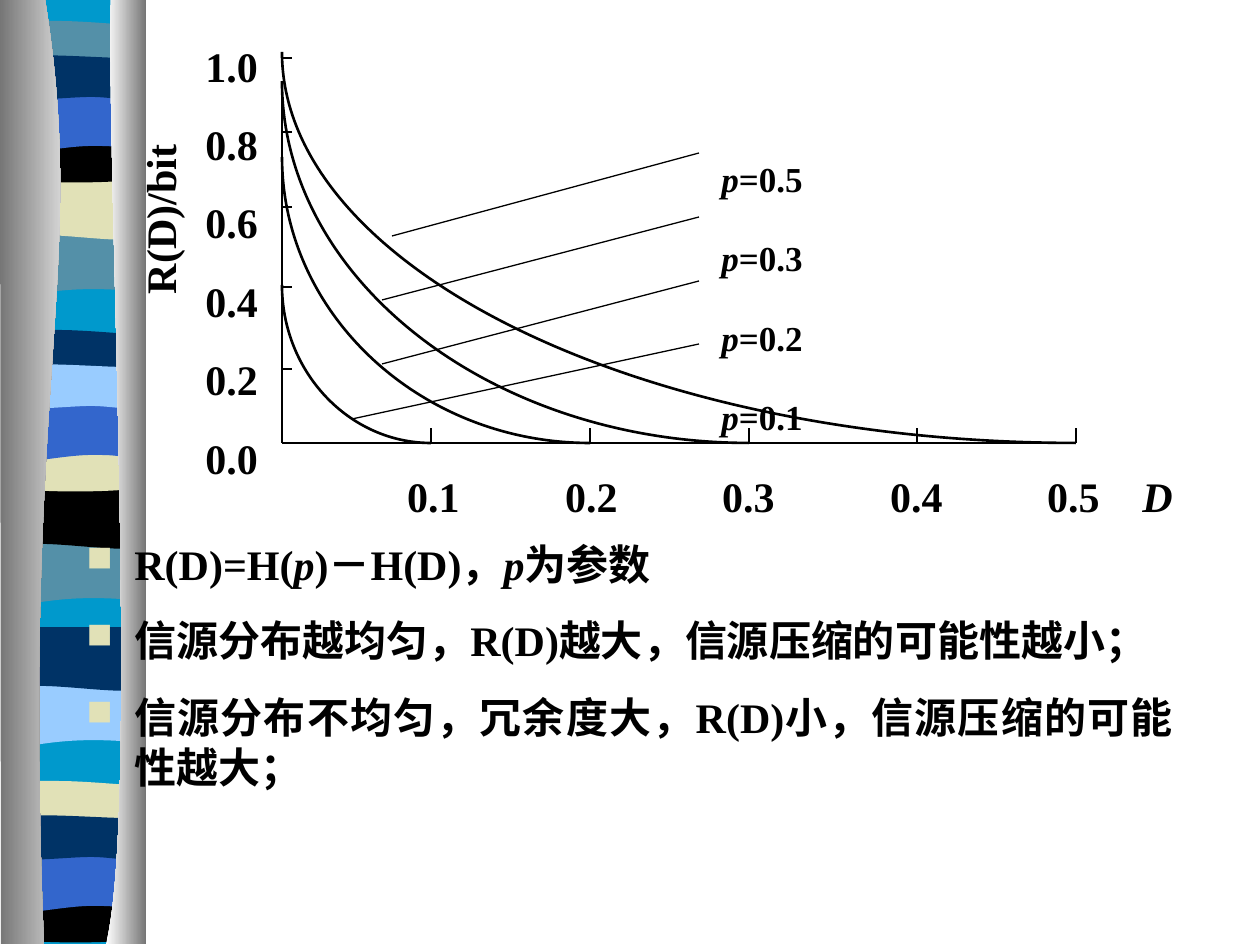
from lxml import etree
from pptx import Presentation
from pptx.dml.color import RGBColor
from pptx.enum.shapes import MSO_CONNECTOR
from pptx.enum.text import PP_ALIGN
from pptx.oxml.ns import qn
from pptx.util import Pt

STRAIGHT = MSO_CONNECTOR.STRAIGHT
JUSTIFY = PP_ALIGN.JUSTIFY
LEFT = PP_ALIGN.LEFT
PX = 914400 / 126
FONT = "Times New Roman"
BLACK = RGBColor(0x00, 0x00, 0x00)
CYAN = RGBColor(0x00, 0x99, 0xCC)
TEAL = RGBColor(0x54, 0x90, 0xA8)
CREAM = RGBColor(0xE1, 0xE1, 0xB7)
BLUE = RGBColor(0x33, 0x66, 0xCC)
NAVY = RGBColor(0x00, 0x33, 0x66)
SKY = RGBColor(0x99, 0xCC, 0xFF)
GREY = RGBColor(0x76, 0x76, 0x76)
WHITE = RGBColor(0xFF, 0xFF, 0xFF)

prs = Presentation()
prs.slide_width = round(1260 * PX)
prs.slide_height = round(945 * PX)
s = prs.slides.add_slide(prs.slide_layouts[6])


def add_outline(segments, dy=0, close=True):
    points = [(seg[i] * PX, (seg[i + 1] + dy) * PX)
              for seg in segments for i in range(0, len(seg), 2)]
    fb = s.shapes.build_freeform(*points[0], scale=1.0)
    fb.add_line_segments(points[1:], close=close)
    sp = fb.convert_to_shape()
    steps = iter(list(sp._element.iter(qn("a:lnTo"))))
    for seg in segments[1:]:
        first = next(steps)
        if len(seg) == 6:
            curve = etree.Element(qn("a:cubicBezTo"))
            first.addprevious(curve)
            for step in (first, next(steps), next(steps)):
                curve.append(step[0])
                step.getparent().remove(step)
    sp.shadow.inherit = False
    sp.line.fill.background()
    return sp


def add_text(box, paragraphs, size, before=0, spacing=1.0, align=JUSTIFY, tabs=(), bullet=False):
    tb = s.shapes.add_textbox(*[round(v * PX) for v in box])
    tf = tb.text_frame
    tf.word_wrap = True
    for i, runs in enumerate(paragraphs):
        p = tf.paragraphs[0] if i == 0 else tf.add_paragraph()
        pPr = p._p.get_or_add_pPr()
        if bullet:
            pPr.set("marL", str(round(48 * PX)))
            pPr.set("indent", str(round(-48 * PX)))
            clr = etree.SubElement(pPr, qn("a:buClr"))
            etree.SubElement(clr, qn("a:srgbClr"), val=str(CREAM))
            etree.SubElement(pPr, qn("a:buSzPct"), val="85000")
            etree.SubElement(pPr, qn("a:buChar"), char="■")
        if tabs:
            tab_list = etree.SubElement(pPr, qn("a:tabLst"))
            for x in tabs:
                etree.SubElement(tab_list, qn("a:tab"), pos=str(round(x * PX)), algn="ctr")
        p.alignment = align
        p.line_spacing = spacing
        p.space_before = Pt(before if i else 0)
        for text, italic in runs:
            r = p.add_run()
            r.text = text
            r.font.name = FONT
            r.font.size = Pt(size)
            r.font.bold = True
            r.font.italic = italic
            r.font.color.rgb = BLACK
    return tf


SLAB = [(144, 233), (144, 292), (49, 282, 30, 302, 7, 292), (7, 233)]
WAVE = [(144, 176), (144, 237), (121, 246, 49, 229, 7, 237), (7, 176)]
LENS = [(144, 26), (144, 57), (121, 62, 30, 62, 7, 57), (7, 26),
        (16, 20, 38, 21, 60, 21), (83, 21, 126, 25, 144, 26)]
BOWL = [(144, 136), (144, 178), (121, 184, 30, 184, 7, 178), (7, 136),
        (91, 142, 115, 136, 144, 136)]
ARCH = [(144, 93), (144, 154), (122, 146, 113, 146, 91, 146),
        (68, 146, 29, 154, 7, 154), (7, 93)]
FLAG = [(144, 58), (144, 97), (135, 103, 113, 97, 91, 97), (68, 97, 21, 103, 7, 97),
        (7, 58), (26, 52, 100, 58, 122, 58)]
BANDS = [SLAB, WAVE, LENS, BOWL, ARCH, FLAG]
ribbon = [
    ([0] * 6, [TEAL, CREAM, TEAL, BLACK, BLUE, NAVY]),
    ([309] * 6, [TEAL, BLACK, NAVY, CREAM, BLUE, SKY]),
    ([451] * 2 + [760] * 4, [SKY, NAVY, CREAM, BLACK, BLUE, NAVY]),
]
base = add_outline([(144, -1), (144, 944), (7, 944), (7, -1)])
base.fill.solid()
base.fill.fore_color.rgb = CYAN
for offsets, colors in ribbon:
    for band, dy, color in zip(BANDS, offsets, colors):
        sp = add_outline(band, dy)
        sp.fill.solid()
        sp.fill.fore_color.rgb = color

panels = [
    ([(45, -1), (89, 272, 21, 373, 44, 944), (1, 944), (0, -1)], GREY, WHITE),
    ([(111, -1), (106, 158, 140, 814, 106, 944), (146, 944), (146, -1)], WHITE, GREY),
]
for segments, start, end in panels:
    sp = add_outline(segments)
    sp.fill.gradient()
    sp.fill.gradient_angle = 0
    for stop, color in zip(sp.fill.gradient_stops, (start, end)):
        stop.color.rgb = color

X0, Y0 = 282, 443
lines = [(X0, Y0, 1076, Y0, 1), (X0, 81, X0, Y0, 1)]
lines += [(x, Y0, x, 428, 1) for x in (431, 590, 749, 917, 1076)]
lines += [(X0, y, 292, y, 1) for y in (58, 132, 207, 287, 369)]
lines += [(x, y, 699, end, 0.75) for x, y, end in
          ((352, 419, 344), (382, 364, 281), (382, 300, 217), (392, 236, 153))]
for x1, y1, x2, y2, width in lines:
    c = s.shapes.add_connector(STRAIGHT, *[round(v * PX) for v in (x1, y1, x2, y2)])
    c.line.color.rgb = BLACK
    c.line.width = Pt(width)
    etree.SubElement(c._element.spPr, qn("a:effectLst"))

K = 0.45
for right, top in ((431, 285), (590, 157), (749, 81), (1076, 52)):
    control_x = X0 + (right - X0) * K
    control_y = Y0 - (Y0 - top) * K
    sp = add_outline([(right, Y0), (control_x, Y0, X0, control_y, X0, top)], close=False)
    sp.fill.background()
    sp.line.color.rgb = BLACK
    sp.line.width = Pt(1.5)

y_labels = ["1.0", "0.8", "0.6", "0.4", "0.2", "0.0"]
add_text((193, 34, 89, 446), [[(t, False)] for t in y_labels], 24, before=16)

x_labels = "".join(f"\t{t}" for t in ("0.1", "0.2", "0.3", "0.4", "0.5"))
add_text((164, 464, 1042, 60), [[(x_labels + "\t", False), ("D", True)]], 24,
         align=LEFT, tabs=[257, 415, 572, 740, 897, 981])

tf = add_text((113, 127, 91, 180), [[("R(D)/bit", False)]], 24, spacing=1.3)
tf._txBody.bodyPr.set("vert", "vert270")
tf.margin_left = tf.margin_right = round(6 * PX)
tf.margin_top = tf.margin_bottom = round(13 * PX)

add_text((709, 139, 118, 297), [[("p", True), (f"={v}", False)] for v in ("0.5", "0.3", "0.2", "0.1")],
         20, before=14, spacing=1.3)

add_text((74, 532, 1111, 267), [
    [("R(D)=H(", False), ("p", True), (")－H(D)，", False), ("p", True), ("为参数", False)],
    [("信源分布越均匀，R(D)越大，信源压缩的可能性越小；", False)],
    [("信源分布不均匀，冗余度大，R(D)小，信源压缩的可能性越大；", False)],
], 24, before=15, bullet=True)

prs.save("out.pptx")
